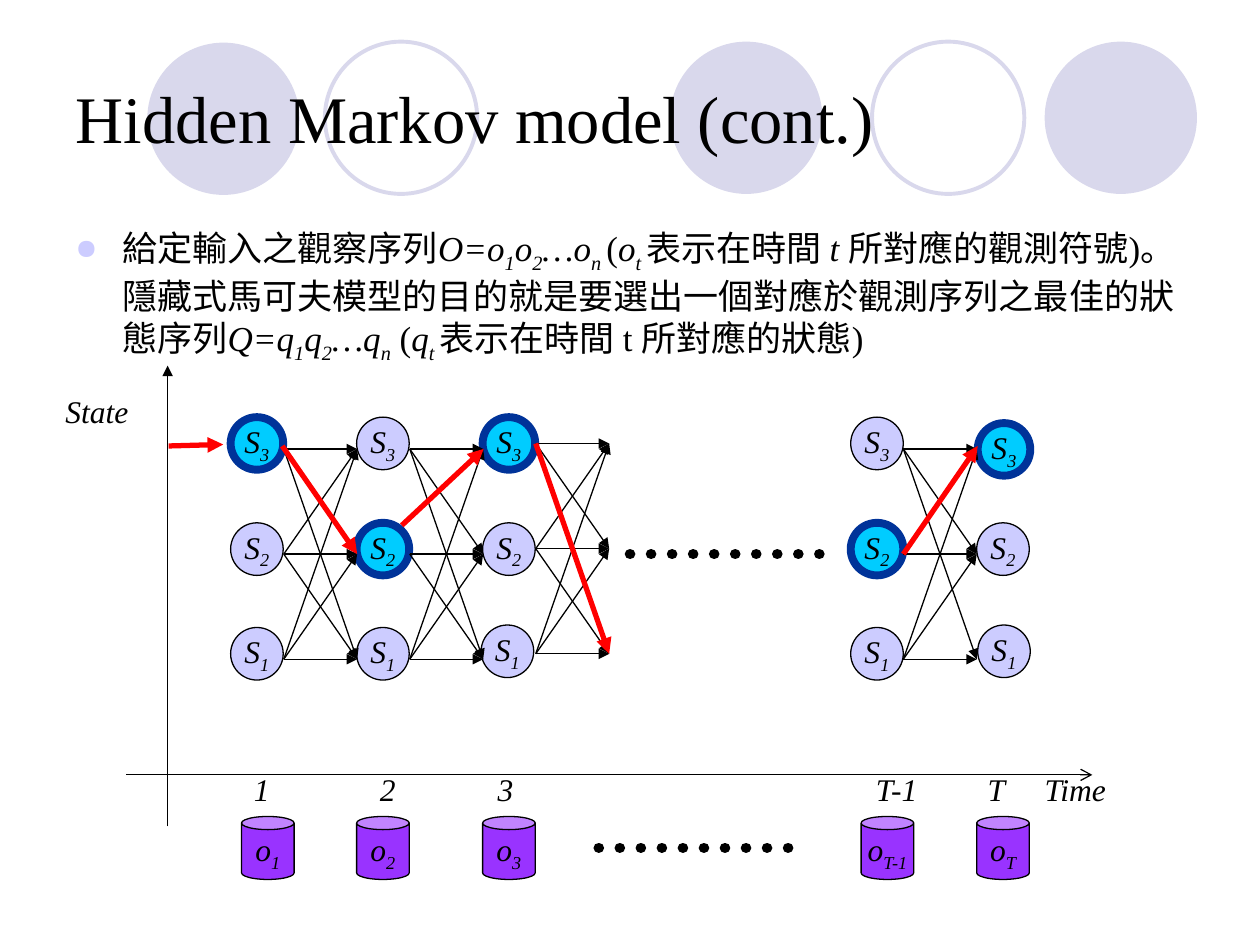
from lxml import etree
from pptx import Presentation
from pptx import util as u
from pptx.dml.color import RGBColor
from pptx.enum import dml, shapes, text
from pptx.oxml.ns import qn

BLACK = RGBColor(0x00, 0x00, 0x00)
RED = RGBColor(0xFF, 0x00, 0x00)
MIST = RGBColor(0xD9, 0xD8, 0xEC)
LAVENDER = RGBColor(0xCC, 0xCC, 0xFF)
CYAN = RGBColor(0x00, 0xCC, 0xFF)
NAVY = RGBColor(0x00, 0x33, 0x99)
PURPLE = RGBColor(0x99, 0x33, 0xFF)

presentation = Presentation()
presentation.slide_width = u.Cm(25.4)
presentation.slide_height = u.Cm(19.05)
slide = presentation.slides.add_slide(presentation.slide_layouts[5])


def write(target, runs, size=18, align=text.PP_ALIGN.LEFT,
          anchor=text.MSO_ANCHOR.TOP, wrap=True, fit=text.MSO_AUTO_SIZE.NONE):
    frame = target.text_frame
    frame.word_wrap = wrap
    frame.auto_size = fit
    frame.vertical_anchor = anchor
    paragraph = frame.paragraphs[0]
    paragraph.alignment = align
    for words, style in runs:
        run = paragraph.add_run()
        run.text = words
        run.font.name = "Times New Roman"
        run.font.size = u.Pt(size)
        run.font.color.rgb = BLACK
        run.font.italic = style != "plain"
        if style == "sub":
            run.font._element.set("baseline", "-25000")
    return paragraph


def connect(x1, y1, x2, y2, color=BLACK, width=0.75, head="triangle"):
    link = slide.shapes.add_connector(
        shapes.MSO_CONNECTOR.STRAIGHT, u.Cm(x1), u.Cm(y1), u.Cm(x2), u.Cm(y2))
    link.line.color.rgb = color
    link.line.width = u.Pt(width)
    properties = link.element.spPr
    if head:
        stroke = properties.find(qn("a:ln"))
        etree.SubElement(stroke, qn("a:tailEnd"), type=head)
    etree.SubElement(properties, qn("a:effectLst"))
    return link


for x, y, filled in [(13.51, 0.84, True), (21.06, 0.84, True), (2.97, 0.86, True),
                     (17.58, 0.84, False), (6.55, 0.84, False)]:
    circle = slide.shapes.add_shape(
        shapes.MSO_SHAPE.OVAL, u.Cm(x), u.Cm(y), u.Cm(3.07), u.Cm(3.07))
    circle.shadow.inherit = False
    if filled:
        circle.fill.solid()
        circle.fill.fore_color.rgb = MIST
        circle.line.fill.background()
    else:
        circle.fill.background()
        circle.line.color.rgb = MIST
        circle.line.width = u.Pt(2.25)

title = slide.shapes.title
title.left, title.top, title.width, title.height = u.Cm(1.27), u.Cm(0.76), u.Cm(22.86), u.Cm(3.18)
write(title, [("Hidden Markov model (cont.)", "plain")], size=38,
      anchor=text.MSO_ANCHOR.MIDDLE)
title.element.getparent().append(title.element)

goal = slide.shapes.add_textbox(u.Cm(1.27), u.Cm(4.45), u.Cm(22.86), u.Cm(3.2))
goal_line = write(goal, [
    ("給定輸入之觀察序列", "plain"), ("O=o", "italic"), ("1", "sub"), ("o", "italic"),
    ("2", "sub"), ("…o", "italic"), ("n ", "sub"), ("(", "plain"), ("o", "italic"),
    ("t ", "sub"), ("表示在時間 ", "plain"), ("t ", "italic"),
    ("所對應的觀測符號)。隱藏式馬可夫模型的目的就是要選出一個對應於觀測序列之最佳的狀態序列", "plain"),
    ("Q=q", "italic"), ("1", "sub"), ("q", "italic"), ("2", "sub"), ("…q", "italic"),
    ("n", "sub"), (" (", "plain"), ("q", "italic"), ("t ", "sub"),
    ("表示在時間 t 所對應的狀態)", "plain")], size=20)
goal_format = goal_line._p.get_or_add_pPr()
goal_format.set("marL", str(u.Cm(0.95)))
goal_format.set("indent", str(-u.Cm(0.95)))
bullet_color = etree.SubElement(goal_format, qn("a:buClr"))
etree.SubElement(bullet_color, qn("a:srgbClr"), val=str(LAVENDER))
etree.SubElement(goal_format, qn("a:buSzPct"), val="80000")
etree.SubElement(goal_format, qn("a:buChar"), char="●")

connect(3.38, 16.66, 3.38, 7.37)
connect(2.54, 15.62, 22.02, 15.62, head="arrow")

steps = {"1": 4.65, "2": 7.19, "3": 9.73, "T-1": 17.15, "T": 19.69}
levels = {3: 8.41, 2: 10.54, 1: 12.65}
best_states = {("1", 3), ("2", 2), ("3", 3), ("T-1", 2), ("T", 3)}
shifted_states = {("3", 1): (9.7, 12.6), ("T", 1): (19.71, 12.6), ("T", 3): (19.71, 8.53)}
for step, step_x in steps.items():
    for level, level_y in levels.items():
        x, y = shifted_states.get((step, level), (step_x, level_y))
        best = (step, level) in best_states
        state = slide.shapes.add_shape(
            shapes.MSO_SHAPE.OVAL, u.Cm(x), u.Cm(y), u.Cm(1.06), u.Cm(1.06))
        state.shadow.inherit = False
        state.fill.solid()
        state.fill.fore_color.rgb = CYAN if best else LAVENDER
        state.line.color.rgb = NAVY if best else BLACK
        state.line.width = u.Pt(4.5 if best else 0.75)
        write(state, [("S", "italic"), (str(level), "sub")], wrap=False,
              align=text.PP_ALIGN.CENTER, anchor=text.MSO_ANCHOR.MIDDLE)

rows = {3: 9.05, 2: 11.17, 1: 13.29}
for start_x, shift, omitted in [(5.72, 0, (3, 2)), (8.26, 0, (2, 3)),
                                (10.8, -0.11, (3, 1)), (18.21, 0, (2, 1))]:
    for origin, origin_y in rows.items():
        for target, target_y in rows.items():
            if (origin, target) != omitted:
                connect(start_x, origin_y + shift, start_x + 1.48, target_y + shift)

for best_step in [(3.4, 8.99, 4.5, 8.96), (5.69, 8.99, 7.2, 11.17),
                  (8.1, 10.59, 9.75, 9.05), (10.8, 8.94, 12.28, 13.18),
                  (18.21, 11.17, 19.71, 8.99)]:
    connect(*best_step, color=RED, width=3)

for x, y in [(12.7, 11.17), (12.07, 17.09)]:
    omission = connect(x, y, x + 4.02, y, width=6, head=None)
    omission.line.dash_style = dml.MSO_LINE.ROUND_DOT
    omission.element.spPr.find(qn("a:ln")).set("cap", "rnd")

observations = {"1": 4.87, "2": 7.19, "3": 9.73, "T-1": 17.36, "T": 19.69}
for step, x in observations.items():
    symbol = slide.shapes.add_shape(
        shapes.MSO_SHAPE.CAN, u.Cm(x), u.Cm(16.46), u.Cm(1.06), u.Cm(1.27))
    symbol.shadow.inherit = False
    symbol.adjustments[0] = 0.25
    symbol.fill.solid()
    symbol.fill.fore_color.rgb = PURPLE
    symbol.line.color.rgb = BLACK
    symbol.line.width = u.Pt(0.75)
    write(symbol, [("o", "italic"), (step, "sub")], wrap=False,
          align=text.PP_ALIGN.CENTER, anchor=text.MSO_ANCHOR.MIDDLE)

state_axis = slide.shapes.add_textbox(u.Cm(1.07), u.Cm(7.77), u.Cm(1.78), u.Cm(1.02))
write(state_axis, [("State", "italic")], wrap=False,
      fit=text.MSO_AUTO_SIZE.SHAPE_TO_FIT_TEXT)

time_axis = slide.shapes.add_textbox(u.Cm(4.87), u.Cm(15.4), u.Cm(18.2), u.Cm(1.02))
time_line = write(time_axis, [("1\t2\t3\tT-1\tT\tTime", "italic")])
time_stops = etree.SubElement(time_line._p.get_or_add_pPr(), qn("a:tabLst"))
for stop in [2.54, 4.91, 12.54, 14.79, 15.94]:
    etree.SubElement(time_stops, qn("a:tab"), pos=str(u.Cm(stop)), algn="l")

presentation.save("out.pptx")
